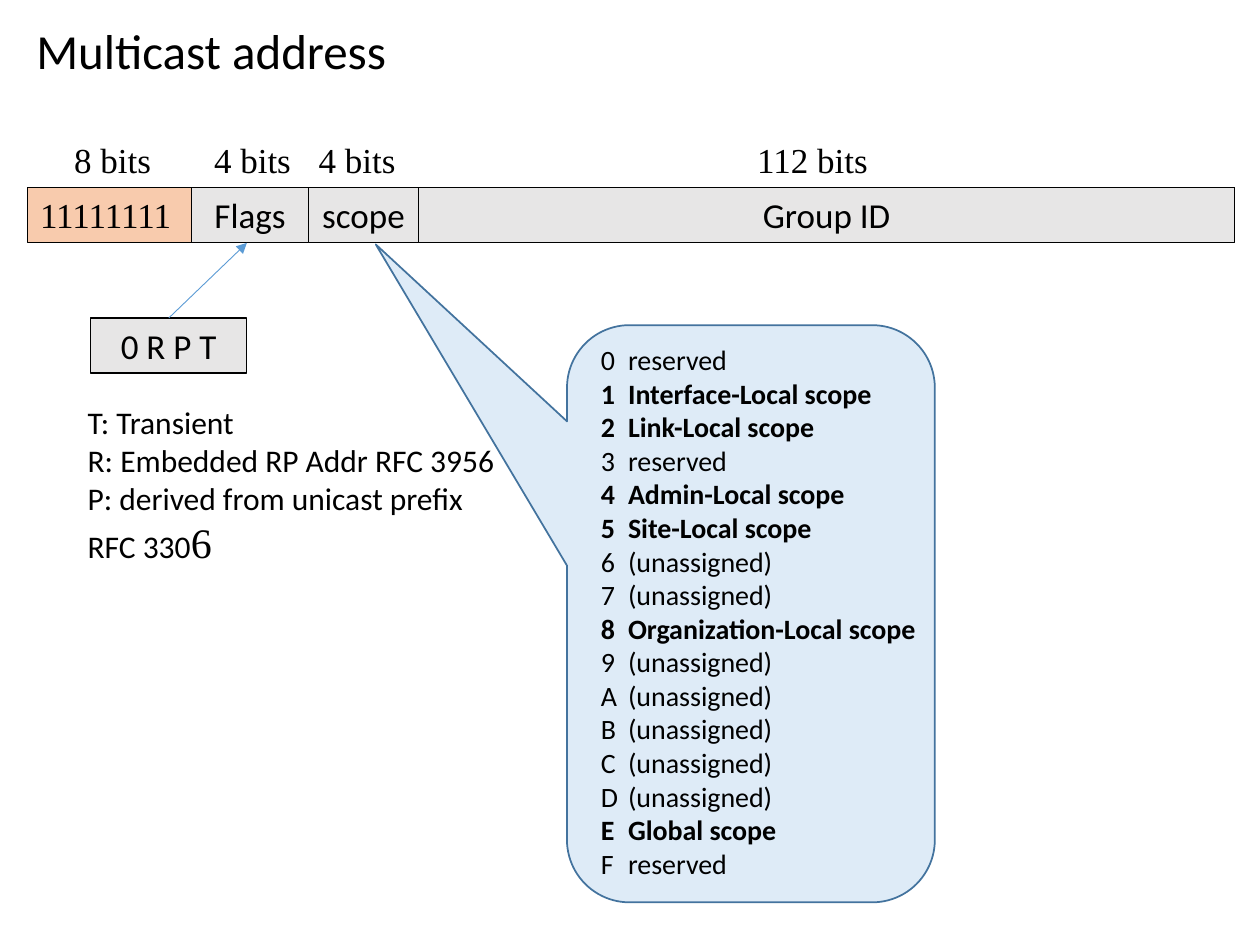
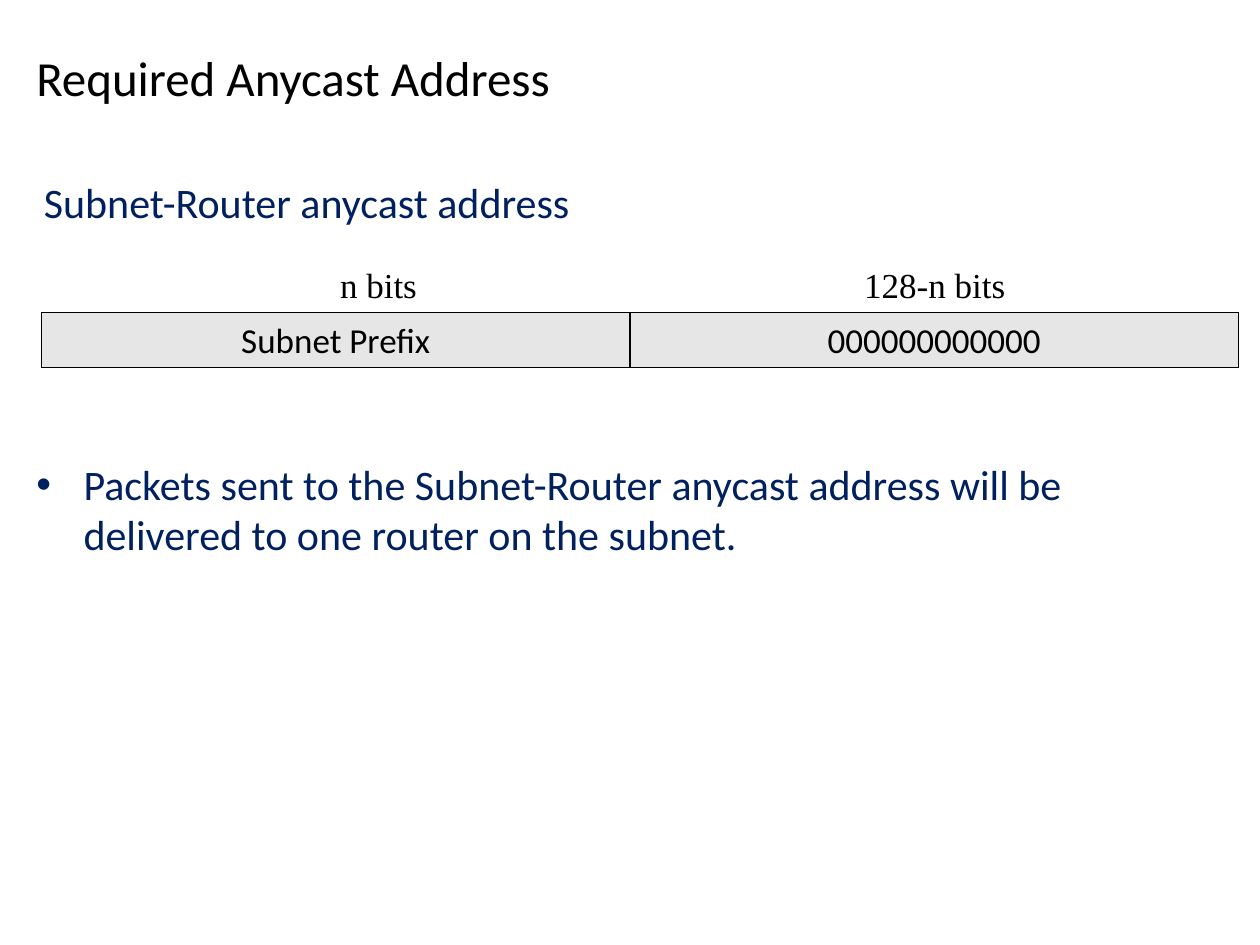
from dataclasses import dataclass

from lxml.etree import SubElement
from pptx import Presentation
from pptx.dml.color import RGBColor as RGB
from pptx.enum.shapes import MSO_CONNECTOR as CONN, MSO_SHAPE as SHAPE
from pptx.enum.text import MSO_ANCHOR as ANCHOR, MSO_AUTO_SIZE as FIT, PP_ALIGN as ALIGN
from pptx.oxml.ns import qn
from pptx.util import Pt


@dataclass(frozen=True)
class Theme:
    sans: str = "Calibri"
    serif: str = "Times New Roman"
    black: str = "000000"
    navy: str = "002060"
    grey: str = "E7E6E6"
    peach: str = "F8CBAD"
    pale_blue: str = "DEEBF7"
    blue_edge: str = "43739E"
    arrow: str = "5B9BD5"
    title: int = 28
    lead: int = 24
    field: int = 20
    note: int = 18
    scope: int = 16
    border: float = 0.75
    row: float = 31.5
    margin: float = 13.7


T = Theme()


class Deck:
    def __init__(self, prs):
        self.prs = prs
        self.s = None

    def slide(self, title, top):
        self.s = self.prs.slides.add_slide(self.prs.slide_layouts[6])
        self.text(T.margin, top, 592, 41, [title], T.title)

    def set_text(self, tf, lines, size, font=T.sans, color=T.black, align=ALIGN.LEFT):
        tf.word_wrap = True
        tf.auto_size = FIT.SHAPE_TO_FIT_TEXT
        tf.vertical_anchor = ANCHOR.TOP
        for i, line in enumerate(lines):
            p = tf.paragraphs[0] if i == 0 else tf.add_paragraph()
            p.text = line
            p.alignment = align
            for r in p.runs:
                self.style(r, size, font, color)

    def style(self, r, size, font, color):
        r.font.size, r.font.name = Pt(size), font
        r.font.color.rgb = RGB.from_string(color)

    def text(self, x, y, w, h, lines, size, font=T.sans, color=T.black):
        tf = self.s.shapes.add_textbox(Pt(x), Pt(y), Pt(w), Pt(h)).text_frame
        self.set_text(tf, lines, size, font, color)
        return tf

    def shape(self, kind, x, y, w, h, fill=None, edge=T.black, weight=T.border):
        sp = self.s.shapes.add_shape(kind, Pt(x), Pt(y), Pt(w), Pt(h))
        sp.shadow.inherit = False
        if fill:
            sp.fill.solid()
            sp.fill.fore_color.rgb = RGB.from_string(fill)
        else:
            sp.fill.background()
        sp.line.color.rgb = RGB.from_string(edge)
        sp.line.width = Pt(weight)
        return sp

    def field(self, x, y, w, text, fill=T.grey, font=T.sans, align=ALIGN.CENTER):
        sp = self.shape(SHAPE.RECTANGLE, x, y, w, T.row, fill)
        self.set_text(sp.text_frame, [text], T.field, font, align=align)

    def bit_label(self, x, bar_top, text):
        self.text(x, bar_top - T.row, 148, T.row, [text], T.field, T.serif)

    def address_bar(self, x, y, fields):
        """Place (text, width, bits, label left) fields side by side in one frame."""
        self.shape(SHAPE.RECTANGLE, x, y, sum(f[1] for f in fields), T.row)
        for text, width, bits, label_x in fields:
            self.field(x, y, width, text)
            self.bit_label(label_x, y, bits)
            x += width

    def arrow(self, x1, y1, x2, y2):
        c = self.s.shapes.add_connector(CONN.STRAIGHT, Pt(x1), Pt(y1), Pt(x2), Pt(y2))
        c.line.color.rgb = RGB.from_string(T.arrow)
        c.line.width = Pt(0.5)
        spPr = c._element.spPr
        SubElement(spPr.get_or_add_ln(), qn("a:tailEnd"), type="triangle")
        SubElement(spPr, qn("a:effectLst"))

    def callout(self, x, y, w, h, adjustments):
        sp = self.shape(SHAPE.ROUNDED_RECTANGULAR_CALLOUT, x, y, w, h,
                        T.pale_blue, T.blue_edge, 1)
        for i, value in enumerate(adjustments):
            sp.adjustments[i] = value

    def scope_list(self, x, y, w, h, scopes):
        lines = [f"{i:X}\t{name}" for i, name in enumerate(scopes)]
        tf = self.text(x, y, w, h, lines, T.scope)
        for p, name in zip(tf.paragraphs, scopes):
            tabs = SubElement(p._p.get_or_add_pPr(), qn("a:tabLst"))
            SubElement(tabs, qn("a:tab"), pos=str(Pt(15.5)), algn="l")
            for r in p.runs:
                r.font.bold = name.endswith("scope")

    def bullet(self, x, y, w, h, text):
        p = self.text(x, y, w, h, [text], T.lead, color=T.navy).paragraphs[0]
        pPr = p._p.get_or_add_pPr()
        pPr.set("marL", str(Pt(27)))
        pPr.set("indent", str(-Pt(27)))
        SubElement(pPr, qn("a:buFont"), typeface="Arial")
        SubElement(pPr, qn("a:buChar"), char="•")


def multicast(d):
    d.slide("Multicast address", 8)

    # Address layout
    left, top, prefix_w = 15.8, 107.3, 93.8
    d.field(left, top, prefix_w, "11111111", T.peach, T.serif, ALIGN.LEFT)
    d.bit_label(35.3, top, "8 bits")
    d.address_bar(left + prefix_w, top, [
        ("Flags", 66.6, "4 bits", 115.2),
        ("scope", 63, "4 bits", 175),
        ("Group ID", 466.4, "112 bits", 425.5),
    ])

    # Scope values
    d.callout(324, 185.8, 210.2, 329.8, (-1.02, -0.64, 0.17))
    reserved, free = "reserved", "(unassigned)"
    d.scope_list(336.3, 192.2, 203, 317.5, [
        reserved, "Interface-Local scope", "Link-Local scope", reserved,
        "Admin-Local scope", "Site-Local scope", free, free,
        "Organization-Local scope", *[free] * 5, "Global scope", reserved,
    ])

    # Flag bits
    d.field(51.8, 181.7, 89.3, "0 R P T")
    tf = d.text(43, 226.8, 251.3, 101.5, [
        "T: Transient",
        "R: Embedded RP Addr RFC 3956",
        "P: derived from unicast prefix RFC 330",
    ], T.note)
    r = tf.paragraphs[-1].add_run()
    r.text = "6"
    d.style(r, T.lead, T.serif, T.black)
    d.arrow(96.5, 181.7, 141.1, 138.8)


def anycast(d):
    d.slide("Required Anycast Address", 23.8)

    # Address layout
    d.address_bar(23.8, 178.6, [
        ("Subnet Prefix", 336.2, "n bits", 187.2),
        ("000000000000", 347.8, "128-n bits", 486.7),
    ])

    # Explanation
    d.text(18, 97.2, 324, 36, ["Subnet-Router anycast address"], T.lead, color=T.navy)
    d.bullet(T.margin, 258.5, 676.8, 65.5,
             "Packets sent to the Subnet-Router anycast address will be "
             "delivered to one router on the subnet.")


def main():
    prs = Presentation()
    prs.slide_width, prs.slide_height = Pt(720), Pt(540)
    d = Deck(prs)
    multicast(d)
    anycast(d)
    prs.save("out.pptx")


if __name__ == "__main__":
    main()
